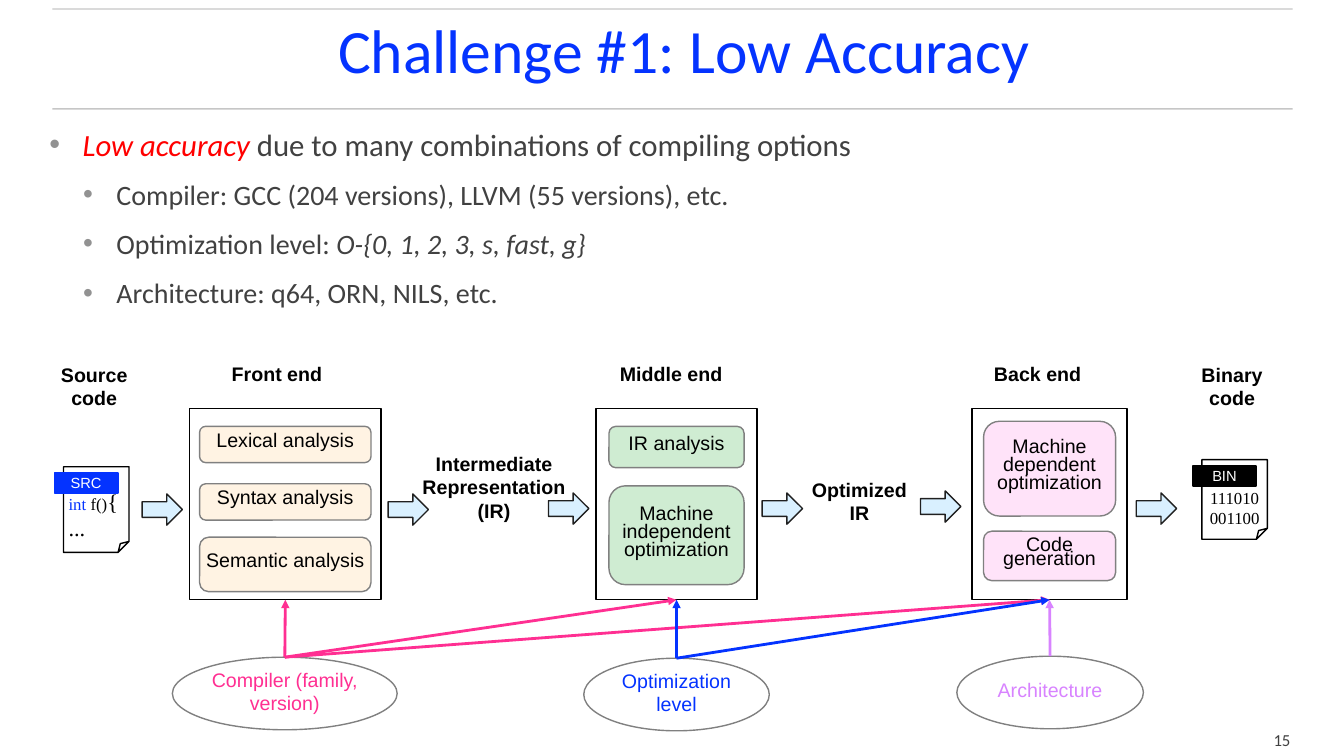
from lxml import etree
from pptx import Presentation
from pptx import util as u
from pptx.dml.color import RGBColor
from pptx.enum import shapes, text
from pptx.oxml import ns

BLUE = RGBColor(0x04, 0x33, 0xFF)
PINK = RGBColor(0xFF, 0x2F, 0x92)
VIOLET = RGBColor(0xD8, 0x83, 0xFF)
RED = RGBColor(0xFF, 0x00, 0x00)
INK = RGBColor(0x41, 0x41, 0x41)
RULE = RGBColor(0x44, 0x44, 0x44)
GREY = RGBColor(0x80, 0x80, 0x80)
OUTLINE = RGBColor(0x20, 0x20, 0x20)
BLACK = RGBColor(0, 0, 0)
WHITE = RGBColor(0xFF, 0xFF, 0xFF)
SKY = RGBColor(0xD9, 0xF0, 0xFF)
CREAM = RGBColor(0xFF, 0xF3, 0xE3)
MINT = RGBColor(0xCF, 0xEC, 0xD2)
ROSE = RGBColor(0xFF, 0xE3, 0xF9)

KIND = shapes.MSO_SHAPE
LEFT, CENTER = text.PP_ALIGN.LEFT, text.PP_ALIGN.CENTER
TOP, MIDDLE, BOTTOM = (text.MSO_ANCHOR.TOP, text.MSO_ANCHOR.MIDDLE,
                       text.MSO_ANCHOR.BOTTOM)

LABEL = dict(name="Arial", size=14, color=BLACK)
HEADING = dict(LABEL, bold=True)
TAG = dict(name="Arial", size=10.5, color=WHITE)
CODE = dict(name="Times New Roman", size=12, color=BLACK)
BODY = dict(name="Calibri", size=20, color=INK)
LEAD = dict(BODY, size=22)

TITLE = "Challenge #1: Low Accuracy"
PAGE = "15"
BULLETS = [
    (0, [("Low accuracy ", dict(LEAD, color=RED, italic=True)),
         ("due to many combinations of compiling options", LEAD)]),
    (1, [("Compiler: GCC (204 versions), LLVM (55 versions), etc.", BODY)]),
    (1, [("Optimization level: ", BODY),
         ("O-{0, 1, 2, 3, s, fast, g}", dict(BODY, italic=True))]),
    (1, [("Architecture: q64, ORN, NILS, etc.", BODY)]),
]
STAGES = [
    ("Front end", 2.2, 1.88, 1.9, 1.7, CREAM,
     [(["Lexical analysis"], 4.23, 0.36), (["Syntax analysis"], 4.8, 0.36),
      (["Semantic analysis"], 5.33, 0.54)]),
    ("Middle end", 6.05, 5.91, 1.6, 1.34, MINT,
     [(["IR analysis"], 4.23, 0.41),
      (["Machine", "independent", "optimization"], 4.82, 0.98)]),
    ("Back end", 9.76, 9.64, 1.54, 1.31, ROSE,
     [(["Machine", "dependent", "optimization"], 4.18, 0.94),
      (["Code generation"], 5.27, 0.49)]),
]
FILES = [
    ("Source code", 0.43, 1.01, "SRC", BLUE, 0.63, 4.63, 0.85, LEFT,
     [[("int ", dict(CODE, color=BLUE)), ("f()", CODE),
       ("{", dict(CODE, size=16))], [("...", dict(CODE, size=16))]]),
    ("Binary code", 11.63, 1.18, "BIN", BLACK, 11.92, 4.56, 0.79, CENTER,
     [[("111010001100", CODE)]]),
]
HANDOVERS = [
    (["Intermediate Representation", "(IR)"], 3.88, 4.38, 2.04),
    (["Optimized IR"], 7.86, 4.64, 1.33),
]
FLOW = [(1.41, 4.9), (3.85, 4.9), (5.44, 4.89), (7.56, 4.89),
        (9.13, 4.87), (11.27, 4.89)]
OPTIONS = [
    ("Compiler (family, version)", PINK, 1.71, 6.52, 2.23, (0, 1, 2)),
    ("Optimization level", BLUE, 5.79, 6.53, 1.84, (1, 2)),
    ("Architecture", VIOLET, 9.49, 6.51, 1.85, (2,)),
]
HEADING_ROW, STAGE_ROW, STAGE_HEIGHT, OPTION_HEIGHT = 3.49, 4.05, 1.9, 0.72
RULE_ROWS, RULE_START, RULE_END = (0.09, 1.08), 0.52, 12.82

deck = Presentation()
deck.slide_width, deck.slide_height = u.Inches(13.33), u.Inches(7.5)
slide = deck.slides.add_slide(deck.slide_layouts[1])


def inches(*lengths):
    return [u.Inches(length) for length in lengths]


def write(frame, lines, align=CENTER, anchor=MIDDLE, insets=(0, 0, 0, 0),
          **spacing):
    sides = ("margin_left", "margin_top", "margin_right", "margin_bottom")
    layout = dict(zip(sides, inches(*insets)), word_wrap=True,
                  auto_size=text.MSO_AUTO_SIZE.NONE, vertical_anchor=anchor)
    for key, value in layout.items():
        setattr(frame, key, value)
    for index, runs in enumerate(lines):
        line = frame.add_paragraph() if index else frame.paragraphs[0]
        line.alignment = align
        for key, value in spacing.items():
            setattr(line, key, value)
        if not index:
            line.space_before = u.Pt(0)
        for words, style in runs:
            run = line.add_run()
            run.text = words
            for key, value in style.items():
                if key == "color":
                    run.font.color.rgb = value
                else:
                    setattr(run.font, key,
                            u.Pt(value) if key == "size" else value)


def plain(lines, style):
    return [[(line, style)] for line in lines]


def draw(kind, box, fill, edge, weight=1):
    part = slide.shapes.add_shape(kind, *inches(*box))
    part.shadow.inherit = False
    if fill is None:
        part.fill.background()
    else:
        part.fill.solid()
        part.fill.fore_color.rgb = fill
    part.line.color.rgb = edge
    part.line.width = u.Pt(weight)
    return part


def caption(lines, box, style=HEADING, align=CENTER, inset=0.1):
    note = slide.shapes.add_textbox(*inches(*box))
    write(note.text_frame, plain(lines, style), align, TOP, (inset,) * 4)


def connect(ends, color, weight):
    link = slide.shapes.add_connector(shapes.MSO_CONNECTOR.STRAIGHT,
                                      *inches(*ends))
    link.line.color.rgb = color
    link.line.width = u.Pt(weight)
    etree.SubElement(link._element.spPr, ns.qn("a:effectLst"))
    return link


title, body = slide.placeholders
for holder, box in ((title, (0.38, 0.08, 12.81, 0.91)),
                    (body, (0.43, 1.08, 12.9, 2.15))):
    holder.left, holder.top, holder.width, holder.height = inches(*box)
write(title.text_frame, plain([TITLE], dict(BODY, size=44, color=BLUE)),
      insets=(0.06,) * 4, line_spacing=0.9)
write(body.text_frame, [runs for _, runs in BULLETS], LEFT,
      insets=(0.06,) * 4, space_before=u.Pt(11), line_spacing=1.0)
for line, (level, _) in zip(body.text_frame.paragraphs, BULLETS):
    line.level = level
    props = line._p.get_or_add_pPr()
    props.set("marL", str(u.Inches(0.33 * (level + 1) + 0.005 * level)))
    props.set("indent", str(u.Inches(-0.33)))
    tint = etree.SubElement(props, ns.qn("a:buClr"))
    etree.SubElement(tint, ns.qn("a:srgbClr"), val="929292")
    etree.SubElement(props, ns.qn("a:buChar"), char="•")

for row in RULE_ROWS:
    rule = connect((RULE_START, row, RULE_END, row), RULE, 1)
    shade = rule._element.spPr.find(".//" + ns.qn("a:srgbClr"))
    etree.SubElement(shade, ns.qn("a:alpha"), val="30000")

caption([PAGE], (12.47, 7.19, 0.49, 0.3), dict(BODY, size=12), inset=0.05)

stage_frames = []
for name, name_left, left, width, step_width, fill, steps in STAGES:
    caption([name], (name_left, HEADING_ROW, 1.46, 0.57), align=LEFT)
    stage_frames.append(draw(KIND.RECTANGLE,
                             (left, STAGE_ROW, width, STAGE_HEIGHT),
                             None, BLACK))
    step_left = left + (width - step_width) / 2
    for lines, top, height in steps:
        step = draw(KIND.ROUNDED_RECTANGLE,
                    (step_left, top, step_width, height), fill, GREY)
        gap = u.Pt(1.5 if len(lines) > 1 else 0)
        write(step.text_frame, plain(lines, LABEL), line_spacing=u.Pt(10),
              space_before=gap, space_after=gap)

for lines, left, top, width in HANDOVERS:
    caption(lines, (left, top, width, 0.73))

for left, top in FLOW:
    draw(KIND.RIGHT_ARROW, (left, top, 0.4, 0.31), SKY, OUTLINE)

for name, name_left, name_width, tag, color, left, top, height, align, code in FILES:
    caption([name], (name_left, HEADING_ROW + 0.01, name_width, 0.57))
    sheet = draw(KIND.FOLDED_CORNER, (left, top, 0.65, height), None, BLACK)
    write(sheet.text_frame, code, align, BOTTOM, (0.05, 0.05, 0.05, 0))
    badge = draw(KIND.RECTANGLE, (left - 0.09, top + 0.06, 0.63, 0.2),
                 color, color, 1.25)
    write(badge.text_frame, plain([tag], TAG), insets=(0.05,) * 4)

for name, color, left, top, width, targets in OPTIONS:
    option = draw(KIND.OVAL, (left, top, width, OPTION_HEIGHT), None, GREY)
    write(option.text_frame, plain([name], dict(LABEL, color=color)),
          insets=(0, 0, 0, 0.05))
    for target in targets:
        link = connect((left, top, left, top), color, 2)
        link.begin_connect(option, 0)
        link.end_connect(stage_frames[target], 2)
        etree.SubElement(link.line._get_or_add_ln(), ns.qn("a:tailEnd"),
                         type="triangle")

deck.save("out.pptx")
